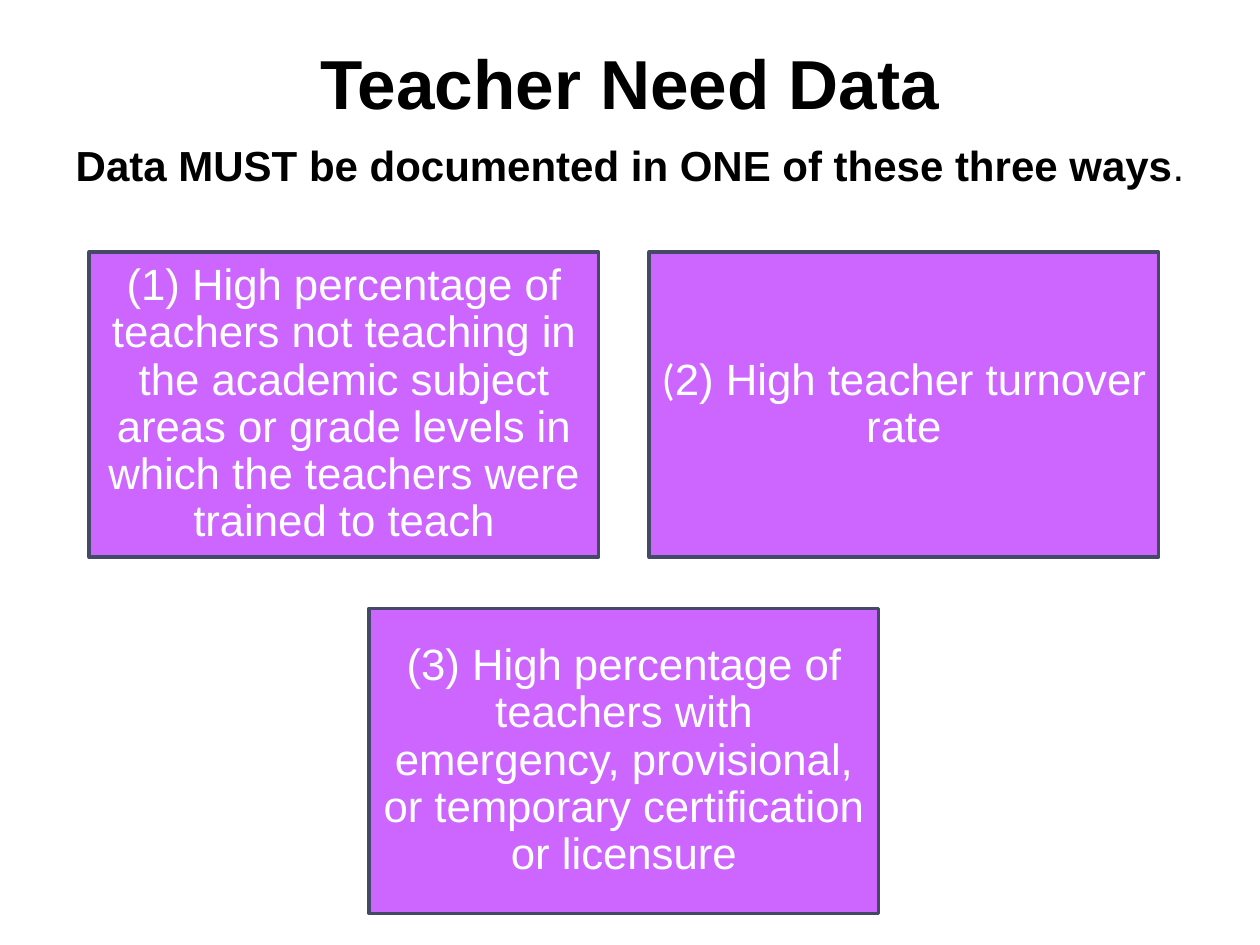
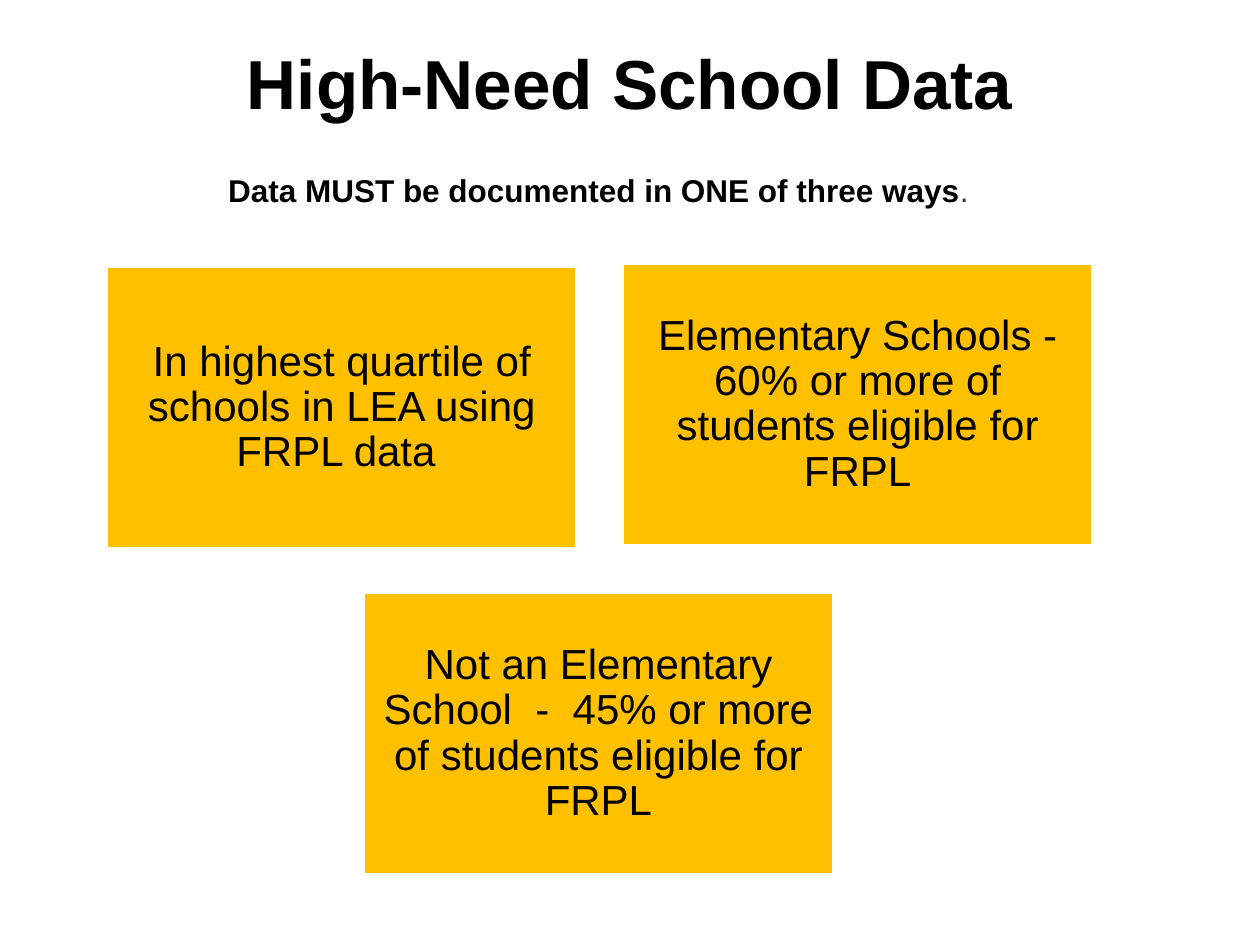
from pptx import Presentation
from pptx.dml.color import RGBColor
from pptx.enum import shapes, text
from pptx.util import Pt

COLORS = {
    "black": "000000", "white": "FFFFFF", "gray": "333333",
    "purple": "CC66FF", "slate": "434966", "gold": "FFC000",
}
FONT = "Arial"


def write_runs(shape, runs, size, inset=(7.2, 3.6), line_spacing=None,
               anchor=text.MSO_ANCHOR.TOP):
    """Write one centred paragraph; each run is (words, color, bold, font)."""
    frame = shape.text_frame
    frame.word_wrap = True
    frame.vertical_anchor = anchor
    frame.margin_left = frame.margin_right = Pt(inset[0])
    frame.margin_top = frame.margin_bottom = Pt(inset[1])
    paragraph = frame.paragraphs[0]
    paragraph.alignment = text.PP_ALIGN.CENTER
    if line_spacing:
        paragraph.line_spacing = line_spacing
    for words, color, bold, font in runs:
        run = paragraph.add_run()
        run.text = words
        run.font.name = font
        run.font.size = Pt(size)
        run.font.bold = bold
        run.font.color.rgb = RGBColor.from_string(COLORS[color])


# Content: each card is (left, top, runs), each run (words, font)
pages = [
    {
        "title": "Teacher Need Data",
        "lead": "Data MUST be documented in ONE of these three ways",
        "lead_box": (0, 76.3, 720, 36), "lead_size": 24, "stop_color": "black",
        "fill": "purple", "line": "slate", "ink": "white",
        "card_size": (291, 174.4), "card_font_size": 25,
        "cards": [
            (51, 144, [("(1) High percentage of teachers not teaching in the academic "
                        "subject areas or grade levels in which the teachers were "
                        "trained to teach", FONT)]),
            (371, 144, [("(", "Calibri"), ("2) High teacher turnover rate", FONT)]),
            (211, 347.6, [("(3) High percentage of teachers with emergency, provisional, "
                           "or temporary certification or licensure", FONT)]),
        ],
    },
    {
        "title": "High-Need School Data",
        "lead": "Data MUST be documented in ONE of three ways",
        "lead_box": (60, 94.3, 563.8, 29), "lead_size": 18, "stop_color": "gray",
        "fill": "gold", "line": "white", "ink": "black",
        "card_size": (269, 161.5), "card_font_size": 24,
        "cards": [
            (60.8, 152.4, [("In highest quartile of schools in LEA using FRPL data ", FONT)]),
            (355.6, 150.4, [("Elementary Schools - 60% or more of students eligible "
                             "for FRPL", FONT)]),
            (207.5, 338.6, [("Not an Elementary School  -  45% or more of students "
                             "eligible for FRPL", FONT)]),
        ],
    },
]

presentation = Presentation()
presentation.slide_width, presentation.slide_height = Pt(720), Pt(540)

for page in pages:
    slide = presentation.slides.add_slide(presentation.slide_layouts[6])

    # Title
    title = slide.shapes.add_textbox(Pt(36), Pt(18), Pt(648), Pt(57.6))
    write_runs(title, [(page["title"], "black", True, FONT)], 39.6,
               anchor=text.MSO_ANCHOR.MIDDLE)

    # Lead sentence with a regular-weight full stop
    lead = slide.shapes.add_textbox(*map(Pt, page["lead_box"]))
    write_runs(lead, [(page["lead"], "black", True, FONT),
                      (".", page["stop_color"], False, FONT)], page["lead_size"])

    # Three cards: two above, one centred below
    width, height = page["card_size"]
    for left, top, runs in page["cards"]:
        card = slide.shapes.add_shape(shapes.MSO_SHAPE.RECTANGLE,
                                      Pt(left), Pt(top), Pt(width), Pt(height))
        card.shadow.inherit = False
        card.fill.solid()
        card.fill.fore_color.rgb = RGBColor.from_string(COLORS[page["fill"]])
        card.line.color.rgb = RGBColor.from_string(COLORS[page["line"]])
        card.line.width = Pt(2)
        write_runs(card, [(words, page["ink"], False, font) for words, font in runs],
                   page["card_font_size"], inset=(7.2, 7.2), line_spacing=0.9,
                   anchor=text.MSO_ANCHOR.MIDDLE)

presentation.save("out.pptx")
